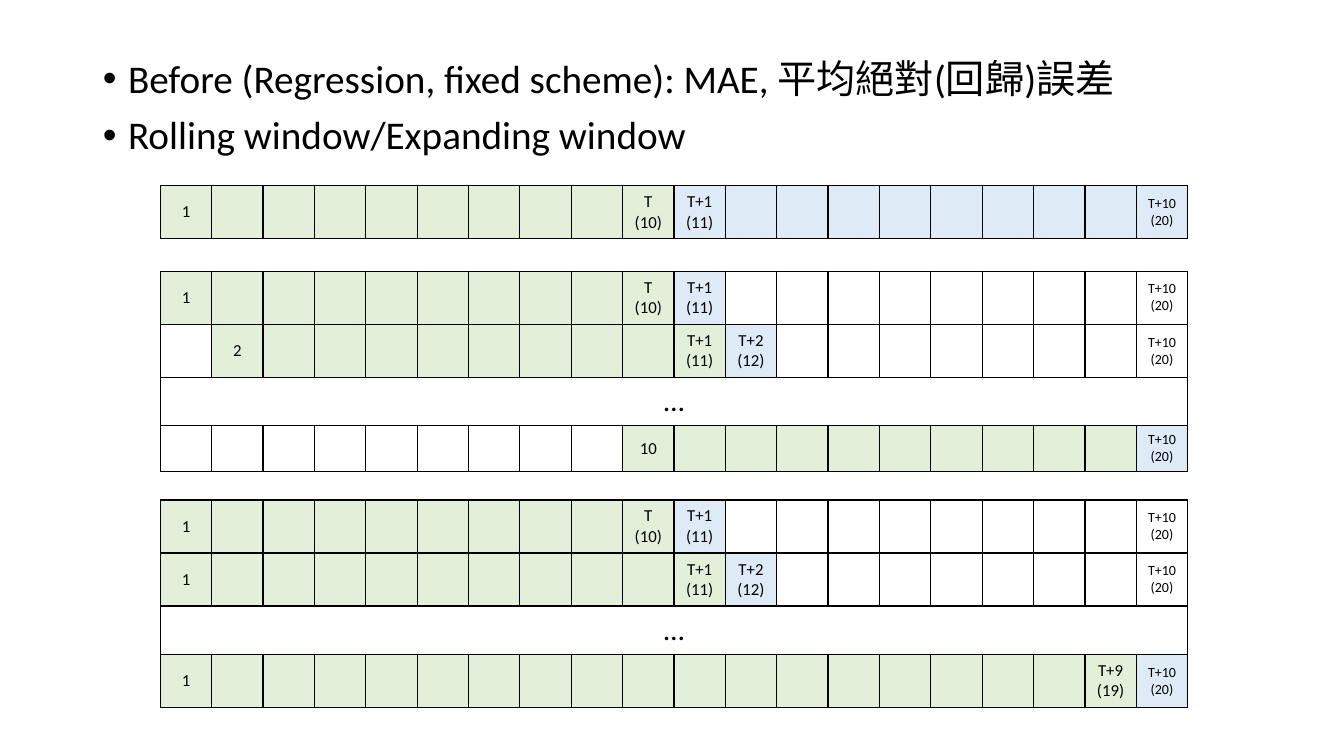
import pptx
import pptx.util
import pptx.dml.color
import pptx.enum.text
import pptx.oxml
import pptx.oxml.ns

Inches = pptx.util.Inches
Pt = pptx.util.Pt
GREEN, BLUE, BLACK = "E2F0D9", "DEEBF7", "000000"
COLS, SPLIT = 20, 10


def color(code):
    return pptx.dml.color.RGBColor.from_string(code)


def style(cell, text, size, fill):
    props = cell._tc.get_or_add_tcPr()
    for side in ("lnL", "lnR", "lnT", "lnB"):
        props.append(pptx.oxml.parse_xml(
            f'<a:{side} {pptx.oxml.ns.nsdecls("a")} w="12700"><a:solidFill>'
            f'<a:srgbClr val="{BLACK}"/></a:solidFill></a:{side}>'))
    if fill:
        cell.fill.solid()
        cell.fill.fore_color.rgb = color(fill)
    else:
        cell.fill.background()
    cell.margin_left = cell.margin_right = Inches(0.11)
    cell.margin_top = cell.margin_bottom = Inches(0.06)
    cell.vertical_anchor = pptx.enum.text.MSO_ANCHOR.MIDDLE
    cell.text = text
    for para in cell.text_frame.paragraphs:
        para.alignment = pptx.enum.text.PP_ALIGN.CENTER
        para.font.size = Pt(size)
        para.font.name = "Calibri"
        para.font.color.rgb = color(BLACK)


deck = pptx.Presentation()
deck.slide_width = Inches(13.33)
deck.slide_height = Inches(7.5)
slide = deck.slides.add_slide(deck.slide_layouts[1])
title = slide.shapes.title
title.element.getparent().remove(title.element)

body = slide.placeholders[1]
body.left, body.top = Inches(0.92), Inches(0.54)
body.width, body.height = Inches(11.5), Inches(4.76)
frame = body.text_frame
frame.text = ("Before (Regression, fixed scheme): MAE, 平均絕對(回歸)誤差\n"
              "Rolling window/Expanding window")
frame.auto_size = pptx.enum.text.MSO_AUTO_SIZE.NONE
for para in frame.paragraphs:
    para.line_spacing = 0.9
    para.space_before = Pt(10)
    para.font.size = Pt(28)
    para.font.name = "Calibri"
    para.font.color.rgb = color(BLACK)
    props = para._p.get_or_add_pPr()
    props.set("marL", str(Inches(0.25)))
    props.set("indent", str(Inches(-0.25)))

# train start, train end, test end, labelled periods
first = (1, 10, 11, (10, 11, 20))
schemes = [
    (1.84, [0.53], [(1, 10, 20, (10, 11, 20))]),
    (2.69, [0.52, 0.52, 0.48, 0.45],
     [first, (2, 11, 12, (11, 12, 20)), None, (10, 19, 20, (20,))]),
    (4.96, [0.52, 0.52, 0.48, 0.52],
     [first, (1, 11, 12, (11, 12, 20)), None, (1, 19, 20, (19, 20))]),
]

for top, heights, rows in schemes:
    table = slide.shapes.add_table(
        len(rows), COLS, Inches(1.59), Inches(top),
        Inches(10.19), Inches(sum(heights))).table
    table.first_row = table.horz_banding = False
    for col in table.columns:
        col.width = Inches(10.19 / COLS)
    for r, (height, row) in enumerate(zip(heights, rows)):
        table.rows[r].height = Inches(height)
        if row is None:
            table.cell(r, 0).merge(table.cell(r, COLS - 1))
            style(table.cell(r, 0), "…", 21, None)
            continue
        start, end, last, marks = row
        for n in range(1, COLS + 1):
            text = ""
            if n == start:
                text = str(n)
            elif n in marks:
                step = f"+{n - SPLIT}" if n > SPLIT else ""
                text = f"T{step}\n({n})"
            fill = None
            if start <= n <= last:
                fill = GREEN if n <= end else BLUE
            style(table.cell(r, n - 1), text, 10 if n == COLS else 12, fill)

deck.save("out.pptx")
